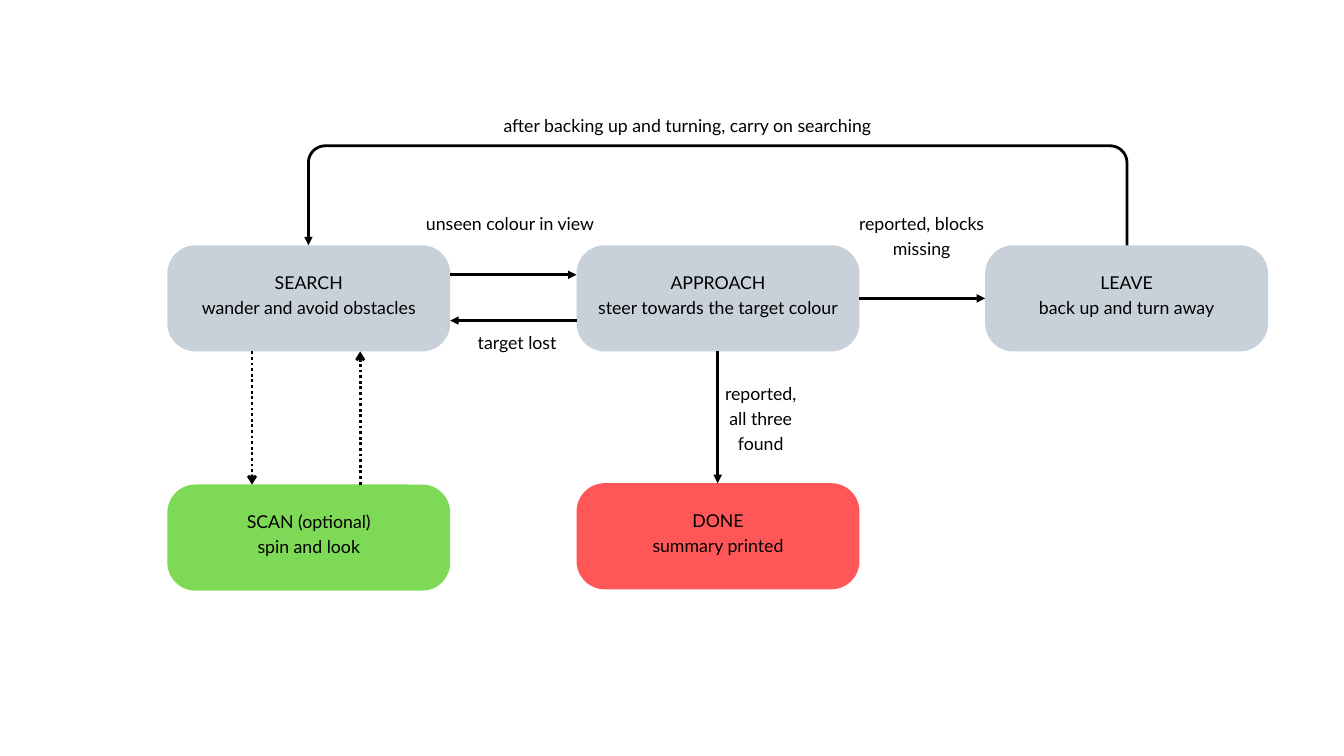
import math
from lxml import etree
from pptx import Presentation, util as u
from pptx.dml.color import RGBColor
from pptx.enum import dml, shapes, text
from pptx.oxml.ns import qn

PX = 9144  # EMU per px, 100 px to the inch
BLACK, GREY, GREEN, RED = "000000", "C8D1D9", "7ED957", "FF5757"
BOX_W, BOX_H, BOX_RADIUS = 421, 158, 42
COLUMNS = (249, 858, 1466)
TOP_ROW = 365

# States: name, action, left, top, colour
STATES = [
    ("SEARCH", "wander and avoid obstacles", COLUMNS[0], TOP_ROW, GREY),
    ("APPROACH", "steer towards the target colour", COLUMNS[1], TOP_ROW, GREY),
    ("LEAVE", "back up and turn away", COLUMNS[2], TOP_ROW, GREY),
    ("SCAN (optional)", "spin and look", COLUMNS[0], 721, GREEN),
    ("DONE", "summary printed", COLUMNS[1], 719, RED),
]
# Transitions: start, end, dotted
SEARCH_R, APPROACH_R = COLUMNS[0] + BOX_W, COLUMNS[1] + BOX_W
ROW_BOTTOM = TOP_ROW + BOX_H
TRANSITIONS = [
    ((SEARCH_R, 409), (COLUMNS[1], 409), False),
    ((COLUMNS[1], 477), (SEARCH_R, 477), False),
    ((APPROACH_R, 444), (COLUMNS[2], 444), False),
    ((1068, ROW_BOTTOM), (1068, 719), False),
    ((375, ROW_BOTTOM), (375, 721), True),
    ((536, 721), (536, ROW_BOTTOM), True),
]
# Labels: wording, left, top, width, height
LABELS = [
    ("after backing up and turning, carry on searching", 720, 166, 606, 35),
    ("unseen colour in view", 630, 312, 258, 72),
    ("target lost", 704, 488, 131, 35),
    ("reported, blocks missing", 1260, 312, 223, 72),
    ("reported, all three found", 1068, 565, 128, 108),
]
# Way back from LEAVE to SEARCH
RETURN_LEFT, RETURN_RIGHT, RETURN_TOP, RETURN_RADIUS = 459, 1677, 217, 25


def emu(*lengths):
    return [u.Emu(round(length * PX)) for length in lengths]


def colour(hex_string):
    return RGBColor.from_string(hex_string)


def write(frame, lines):
    frame.word_wrap = True
    frame.text = "\n".join(lines)
    for paragraph in frame.paragraphs:
        paragraph.alignment = text.PP_ALIGN.CENTER
        paragraph.line_spacing = u.Pt(26.6)
        for run in paragraph.runs:
            run.font.name = "Lato"
            run.font.size = u.Pt(19)
            run.font.color.rgb = colour(BLACK)


def set_insets(frame, left, top, right, bottom):
    (frame.margin_left, frame.margin_top,
     frame.margin_right, frame.margin_bottom) = emu(left, top, right, bottom)


def style_arrow(line, head):
    line.color.rgb = colour(BLACK)
    line.width = u.Pt(3)
    etree.SubElement(line._get_or_add_ln(), qn("a:tailEnd"), type=head)


def add_state(slide, name, action, left, top, fill):
    state = slide.shapes.add_shape(shapes.MSO_SHAPE.ROUNDED_RECTANGLE,
                                   *emu(left, top, BOX_W, BOX_H))
    state.adjustments[0] = BOX_RADIUS / BOX_H
    state.shadow.inherit = False
    state.fill.solid()
    state.fill.fore_color.rgb = colour(fill)
    state.line.fill.background()
    state.text_frame.vertical_anchor = text.MSO_ANCHOR.MIDDLE
    set_insets(state.text_frame, 6, 0, 6, 16)
    write(state.text_frame, [name, action])


def add_transition(slide, start, end, dotted):
    arrow = slide.shapes.add_connector(shapes.MSO_CONNECTOR.STRAIGHT,
                                       *emu(*start, *end))
    if dotted:
        arrow.line.dash_style = dml.MSO_LINE.ROUND_DOT
    style_arrow(arrow.line, "arrow" if dotted else "triangle")
    etree.SubElement(arrow._element.spPr, qn("a:effectLst"))


def corner(centre_x, first_angle):
    """Points of a quarter turn, from first_angle on, in degrees."""
    angles = [math.radians(first_angle + step) for step in range(0, 91, 6)]
    return [(centre_x + RETURN_RADIUS * math.cos(a),
             RETURN_TOP + RETURN_RADIUS * (1 - math.sin(a))) for a in angles]


def add_return(slide):
    points = (corner(RETURN_RIGHT - RETURN_RADIUS, 0)
              + corner(RETURN_LEFT + RETURN_RADIUS, 90)
              + [(RETURN_LEFT, TOP_ROW)])
    builder = slide.shapes.build_freeform(*emu(RETURN_RIGHT, TOP_ROW))
    builder.add_line_segments([emu(*point) for point in points], close=False)
    way_back = builder.convert_to_shape()
    way_back.shadow.inherit = False
    way_back.fill.background()
    style_arrow(way_back.line, "triangle")


def add_label(slide, wording, *place):
    label = slide.shapes.add_textbox(*emu(*place))
    set_insets(label.text_frame, 0, 0, 0, 0)
    write(label.text_frame, [wording])


def main():
    deck = Presentation()
    deck.slide_width, deck.slide_height = emu(2000, 1125)
    slide = deck.slides.add_slide(deck.slide_layouts[6])
    for state in STATES:
        add_state(slide, *state)
    for transition in TRANSITIONS:
        add_transition(slide, *transition)
    add_return(slide)
    for label in LABELS:
        add_label(slide, *label)
    deck.save("out.pptx")


if __name__ == "__main__":
    main()
